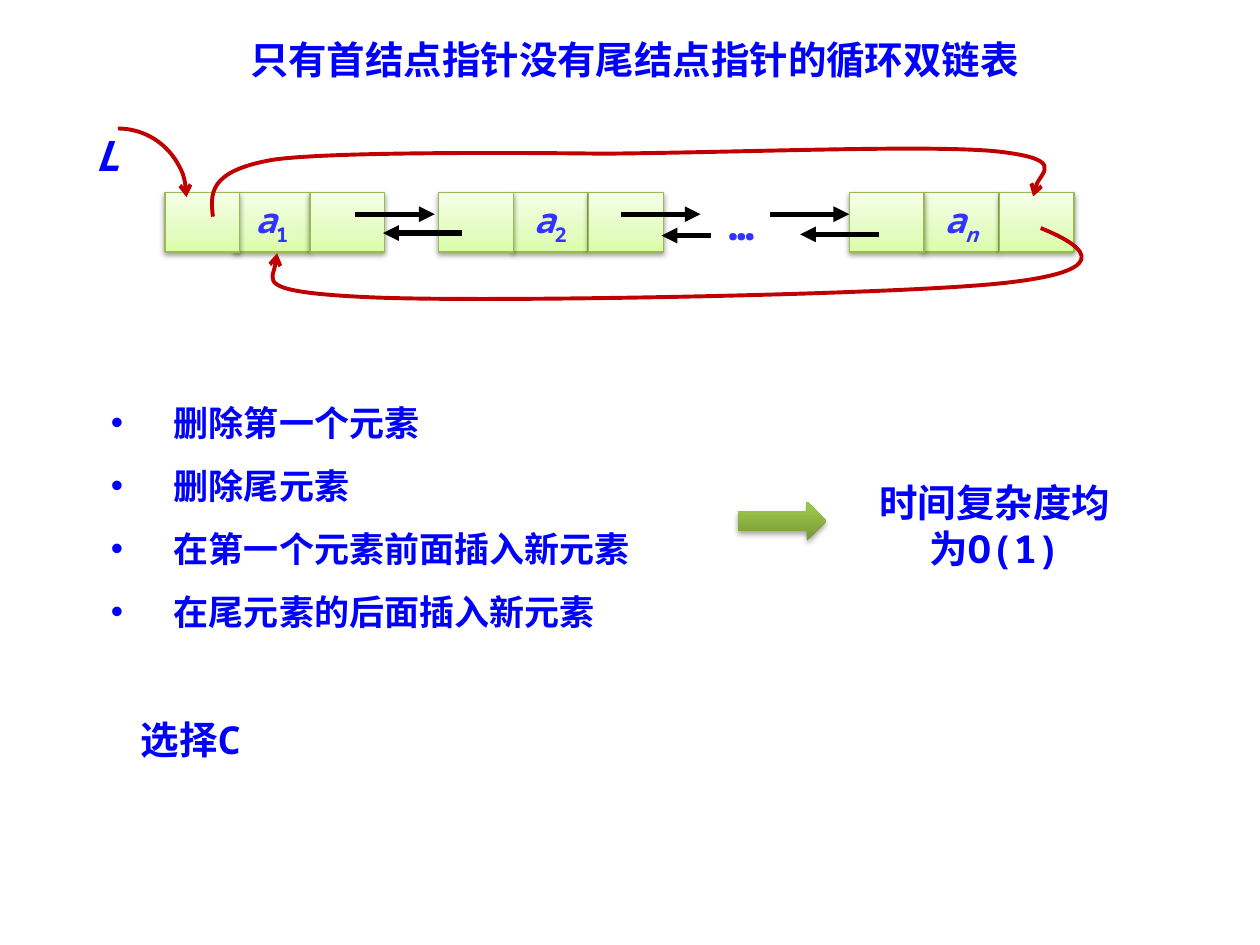
from pptx import Presentation
from pptx.dml.color import RGBColor
from pptx.enum.shapes import MSO_CONNECTOR as Connector, MSO_SHAPE as Shape
from pptx.enum.text import MSO_ANCHOR as Anchor, MSO_AUTO_SIZE as AutoSize, PP_ALIGN as Align
from pptx.oxml.ns import qn
from pptx.util import Inches, Pt
from lxml.etree import SubElement

FONT = "Noto Sans Mono"
BLUE = RGBColor(0x00, 0x00, 0xFF)
LABEL_BLUE = RGBColor(0x33, 0x33, 0xFF)
RED = RGBColor(0xC0, 0x00, 0x00)
BLACK = RGBColor(0x00, 0x00, 0x00)
CELL_EDGE = RGBColor(0x98, 0xB9, 0x55)
CELL_GREEN = [(0, RGBColor(0xDA, 0xFD, 0xA7)), (35, RGBColor(0xE4, 0xFC, 0xC2)),
              (100, RGBColor(0xF5, 0xFF, 0xE7))]
ARROW_GREEN = [(0, RGBColor(0x77, 0x97, 0x37)), (80, RGBColor(0x9B, 0xC3, 0x48)),
               (100, RGBColor(0x9D, 0xC7, 0x46))]

# Lengths are percentages of the slide's width and height
WIDTH, HEIGHT = Inches(10), Inches(7.5)
CELL_WIDTH, CELL_TOP, CELL_HEIGHT = 5.94, 20.4, 6.27

# Data cell left, previous-pointer cell left, subscript, italic subscript
NODES = [(18.6, 13.1, "1", False), (40.7, 34.8, "2", False), (73.3, 67.4, "n", True)]
# Start, end and height of each link
LINKS = [(28.2, 34.5, 22.67), (49.3, 55.6, 22.67), (61.1, 67.4, 22.67),
         (36.7, 30.4, 24.67), (56.4, 52.5, 24.93), (69.8, 63.5, 24.8)]
# Start point, then three Bezier points per segment
HEAD_TO_TAIL = [(16.9, 22.93), (16.7, 20.53), (16.5, 18.13), (21.6, 16.93),
                (26.8, 15.87), (47.9, 16.27), (47.9, 16.27),
                (59.2, 16.13), (73.2, 15.33), (78.9, 16),
                (84.6, 16.8), (81.9, 19.2), (82, 20.8)]
TAIL_TO_HEAD = [(82.6, 24.13), (86.8, 26.4), (88.1, 28.8), (79.3, 30),
                (70.5, 31.2), (39.1, 32), (29.6, 31.47),
                (20.1, 30.93), (21.9, 28.93), (22, 26.8)]
OPERATIONS = ["删除第一个元素", "删除尾元素", "在第一个元素前面插入新元素", "在尾元素的后面插入新元素"]


def across(share):
    return round(WIDTH * share / 100)


def down(share):
    return round(HEIGHT * share / 100)


def place(left, top, width, height):
    return across(left), down(top), across(width), down(height)


def style_font(paragraph, size, color=BLUE, italic=False):
    font = paragraph.font
    font.name, font.size, font.bold, font.italic = FONT, Pt(size), True, italic
    font.color.rgb = color


def style_line(shape, color, width, head):
    shape.line.color.rgb = color
    shape.line.width = Pt(width)
    SubElement(shape.line._ln, qn("a:tailEnd"), type=head)


def set_gradient(shape, stops):
    shape.fill.gradient()
    shape.fill.gradient_angle = 90
    stop_list = shape._element.spPr.find(".//" + qn("a:gsLst"))
    stop_list.clear()
    for position, color in stops:
        stop = SubElement(stop_list, qn("a:gs"), pos=str(position * 1000))
        SubElement(stop, qn("a:srgbClr"), val=str(color))


def set_shadow(shape, opacity, distance):
    shape.shadow.inherit = False
    effects = shape._element.spPr.find(qn("a:effectLst"))
    shadow = SubElement(effects, qn("a:outerShdw"), blurRad=str(Pt(3.1)),
                        dist=str(Pt(distance)), dir="5400000", rotWithShape="0")
    color = SubElement(shadow, qn("a:srgbClr"), val=str(BLACK))
    SubElement(color, qn("a:alpha"), val=str(opacity * 1000))


def add_label(slide, box, text, size, color=BLUE, italic=False, align=Align.CENTER):
    frame = slide.shapes.add_textbox(*place(*box)).text_frame
    frame.word_wrap = True
    frame.auto_size = AutoSize.SHAPE_TO_FIT_TEXT
    paragraph = frame.paragraphs[0]
    paragraph.text, paragraph.alignment = text, align
    style_font(paragraph, size, color, italic)


def add_cell(slide, left):
    cell = slide.shapes.add_shape(
        Shape.RECTANGLE, *place(left, CELL_TOP, CELL_WIDTH, CELL_HEIGHT))
    set_gradient(cell, CELL_GREEN)
    cell.line.color.rgb = CELL_EDGE
    cell.line.width = Pt(0.75)
    set_shadow(cell, 38, 1.6)
    return cell


def add_node(slide, left, previous_left, subscript, italic_subscript):
    frame = add_cell(slide, left).text_frame
    add_cell(slide, left + 6)
    add_cell(slide, previous_left)
    frame.word_wrap = False
    frame.vertical_anchor = Anchor.MIDDLE
    paragraph = frame.paragraphs[0]
    paragraph.alignment = Align.CENTER
    style_font(paragraph, 20, LABEL_BLUE)
    for text, italic in (("a", True), (subscript, italic_subscript)):
        run = paragraph.add_run()
        run.text, run.font.italic = text, italic
    run._r.get_or_add_rPr().set("baseline", "-25000")


def add_link(slide, start, end, level):
    link = slide.shapes.add_connector(
        Connector.STRAIGHT, across(start), down(level), across(end), down(level))
    style_line(link, BLACK, 3, "triangle")
    SubElement(link._element.spPr, qn("a:effectLst"))


def add_curve(slide, points):
    start, *others = [(across(x), down(y)) for x, y in points]
    builder = slide.shapes.build_freeform(*start)
    builder.add_line_segments(others, close=False)
    curve = builder.convert_to_shape()
    # Join each three straight segments into one Bezier segment
    outline = curve._element.spPr.find(".//" + qn("a:path"))
    corners = outline.findall(qn("a:lnTo"))
    for first in range(0, len(corners), 3):
        bezier = SubElement(outline, qn("a:cubicBezTo"))
        for corner in corners[first:first + 3]:
            bezier.append(corner[0])
            outline.remove(corner)
    style_pointer(curve)


def style_pointer(shape):
    shape.fill.background()
    style_line(shape, RED, 2.25, "arrow")
    shape.shadow.inherit = False


def fill_title(title, text):
    title.left, title.top, title.width, title.height = place(15.6, 3.07, 69.5, 6.27)
    title.text_frame.auto_size = AutoSize.NONE
    paragraph = title.text_frame.paragraphs[0]
    paragraph.text, paragraph.alignment = text, Align.CENTER
    style_font(paragraph, 22)


def fill_list(body, items):
    body.left, body.top, body.width, body.height = place(7.8, 39.6, 47.7, 27.47)
    frame = body.text_frame
    frame.auto_size = AutoSize.NONE
    frame.text = "\n".join(items)
    for paragraph in frame.paragraphs:
        paragraph.line_spacing, paragraph.space_before = 1.5, Pt(0)
        properties = paragraph._p.get_or_add_pPr()
        properties.set("marL", str(Inches(0.5)))
        properties.set("indent", str(-Inches(0.5)))
        SubElement(properties, qn("a:buFont"), typeface="Arial")
        SubElement(properties, qn("a:buChar"), char="•")
        style_font(paragraph, 20)


def main():
    deck = Presentation()
    deck.slide_width, deck.slide_height = WIDTH, HEIGHT
    slide = deck.slides.add_slide(deck.slide_layouts[1])
    fill_title(slide.shapes.title, "只有首结点指针没有尾结点指针的循环双链表")
    fill_list(slide.placeholders[1], OPERATIONS)

    # Circular doubly linked list
    for node in NODES:
        add_node(slide, *node)
    add_label(slide, (55.7, 20.4, 6.3, 6.67), "…", 24, LABEL_BLUE)
    for link in LINKS:
        add_link(slide, *link)

    # Head pointer and wrap-around pointers
    style_pointer(slide.shapes.add_shape(Shape.ARC, *place(3.9, 13.6, 10.9, 14.53)))
    add_label(slide, (6.2, 13.07, 4.7, 6.67), "L", 24, italic=True)
    add_curve(slide, HEAD_TO_TAIL)
    add_curve(slide, TAIL_TO_HEAD)

    # Conclusion
    arrow = slide.shapes.add_shape(Shape.RIGHT_ARROW, *place(58.6, 53.07, 7, 4.13))
    set_gradient(arrow, ARROW_GREEN)
    arrow.line.fill.background()
    set_shadow(arrow, 35, 1.8)
    add_label(slide, (68, 50, 21.9, 11.2), "时间复杂度均为O(1)", 22)
    add_label(slide, (10.2, 75.07, 17.2, 6.27), "选择C", 22, align=Align.LEFT)
    deck.save("out.pptx")


if __name__ == "__main__":
    main()
